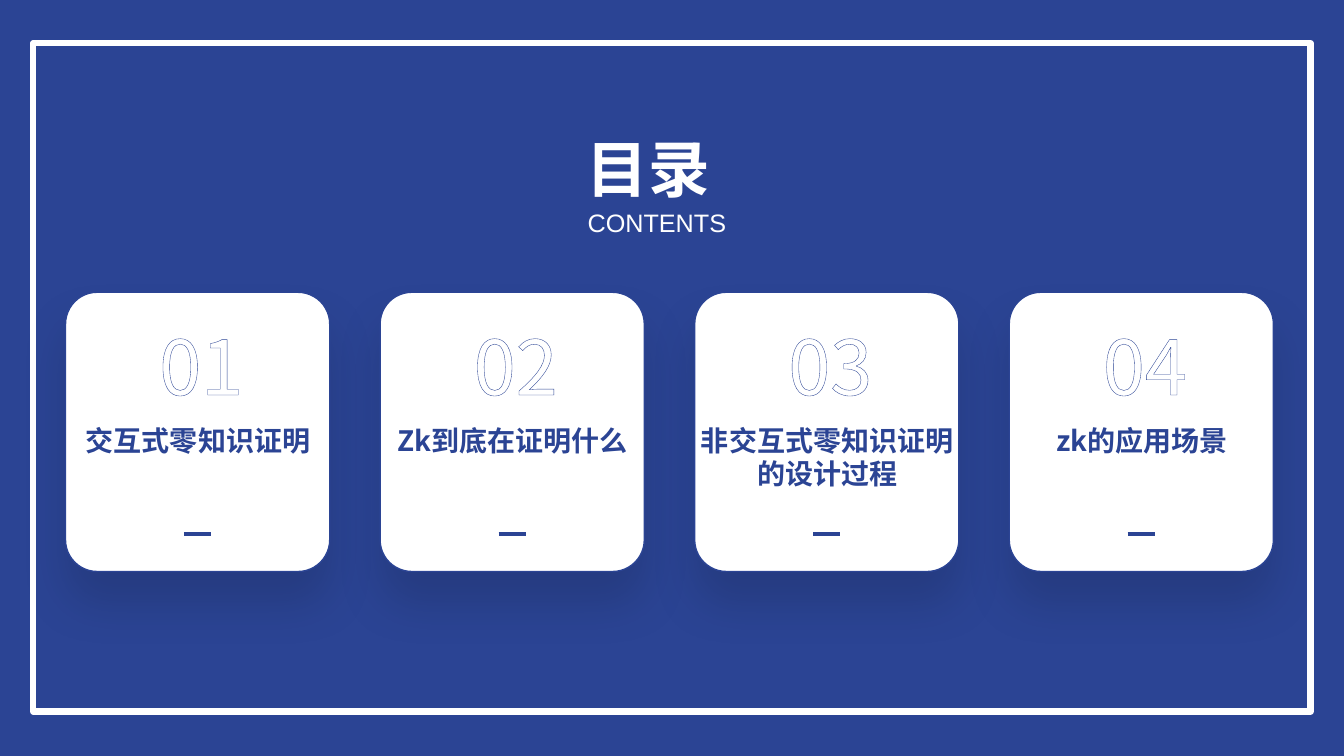
from lxml import etree
from pptx import Presentation
from pptx.dml.color import RGBColor
from pptx.enum import shapes, text
from pptx.oxml import parse_xml
from pptx.oxml.ns import nsdecls, qn
from pptx.util import Inches, Pt

# Content
TITLE = "目录"
SUBTITLE = "CONTENTS"
CHAPTERS = ["交互式零知识证明", "Zk到底在证明什么", "非交互式零知识证明的设计过程", "zk的应用场景"]

# Look
BLUE = RGBColor(0x2B, 0x44, 0x94)
WHITE = RGBColor(0xFF, 0xFF, 0xFF)
CJK = "Noto Sans CJK SC"
LATIN = "Arial"

# Layout in inches
WIDTH, HEIGHT = 13.33, 7.5
FRAME = (0.33, 0.43, 12.67, 6.63)
CARD_LEFT, CARD_TOP, CARD_WIDTH, CARD_HEIGHT = 0.65, 2.9, 2.62, 2.77
CARD_PITCH = 3.12
DASH_WIDTH = 0.27


def inches(*lengths):
    return [Inches(length) for length in lengths]


def write(shape, words, size, font=CJK, color=WHITE, bold=False,
          align=text.PP_ALIGN.LEFT, anchor=text.MSO_ANCHOR.TOP,
          spacing=None, outline=None):
    frame = shape.text_frame
    frame.word_wrap = True
    frame.auto_size = text.MSO_AUTO_SIZE.NONE
    frame.vertical_anchor = anchor
    paragraph = frame.paragraphs[0]
    paragraph.alignment = align
    paragraph.space_before = Pt(0)
    paragraph.line_spacing = spacing
    run = paragraph.add_run()
    run.text = words
    run.font.size, run.font.bold, run.font.name = Pt(size), bold, font
    run.font.color.rgb = color
    properties = run.font._element
    east_asian = etree.Element(qn("a:ea"), typeface=font)
    properties.find(qn("a:latin")).addnext(east_asian)
    if outline:
        properties.insert(0, parse_xml(
            f'<a:ln {nsdecls("a")} w="{Pt(1.25)}"><a:solidFill>'
            f'<a:srgbClr val="{outline}"/></a:solidFill></a:ln>'))


def add_text(slide, box, words, size, **style):
    write(slide.shapes.add_textbox(*inches(*box)), words, size, **style)


def add_frame(slide):
    frame = slide.shapes.add_shape(shapes.MSO_SHAPE.RECTANGLE, *inches(*FRAME))
    frame.shadow.inherit = False
    frame.fill.background()
    frame.line.color.rgb = WHITE
    frame.line.width = Pt(4.5)


def add_card(slide, index, name):
    left = CARD_LEFT + index * CARD_PITCH
    # Rounded panel with a soft shadow below
    card = slide.shapes.add_shape(
        shapes.MSO_SHAPE.ROUNDED_RECTANGLE,
        *inches(left, CARD_TOP, CARD_WIDTH, CARD_HEIGHT))
    card.adjustments[0] = 0.12
    card.fill.solid()
    card.fill.fore_color.rgb = WHITE
    card.line.color.rgb = BLUE
    card.line.width = Pt(1)
    card._element.spPr.append(parse_xml(
        f'<a:effectLst {nsdecls("a")}><a:outerShdw blurRad="{Pt(33)}" '
        f'dist="{Pt(22)}" dir="5400000" algn="t" rotWithShape="0">'
        '<a:srgbClr val="000000"><a:alpha val="12000"/></a:srgbClr>'
        '</a:outerShdw></a:effectLst>'))
    # Number and chapter name
    add_text(slide, (left + 0.49, 3.12, 1.37, 0.99), f"{index + 1:02}", 54,
             align=text.PP_ALIGN.RIGHT, outline=BLUE)
    add_text(slide, (left - 0.07, 4.15, 2.77, 0.77), name, 20,
             color=BLUE, bold=True, align=text.PP_ALIGN.CENTER)
    # Short dash
    start = left + (CARD_WIDTH - DASH_WIDTH) / 2
    dash = slide.shapes.add_connector(
        shapes.MSO_CONNECTOR.STRAIGHT,
        *inches(start, 5.3, start + DASH_WIDTH, 5.3))
    dash.line.color.rgb = BLUE
    dash.line.width = Pt(3)
    etree.SubElement(dash._element.spPr, qn("a:effectLst"))


def main():
    presentation = Presentation()
    presentation.slide_width, presentation.slide_height = inches(WIDTH, HEIGHT)
    slide = presentation.slides.add_slide(presentation.slide_layouts[5])
    slide.background.fill.solid()
    slide.background.fill.fore_color.rgb = BLUE
    add_frame(slide)

    # Heading
    title = slide.shapes.title
    title.left, title.top, title.width, title.height = inches(5.72, 1.34, 2.01, 0.6)
    title.text_frame.margin_top = Inches(0.19)
    write(title, TITLE, 44, bold=True, spacing=0.9, anchor=text.MSO_ANCHOR.MIDDLE)
    add_text(slide, (5.73, 2.04, 2.13, 0.75), SUBTITLE, 18, font=LATIN, spacing=0.9)

    for index, name in enumerate(CHAPTERS):
        add_card(slide, index, name)
    presentation.save("out.pptx")


if __name__ == "__main__":
    main()
